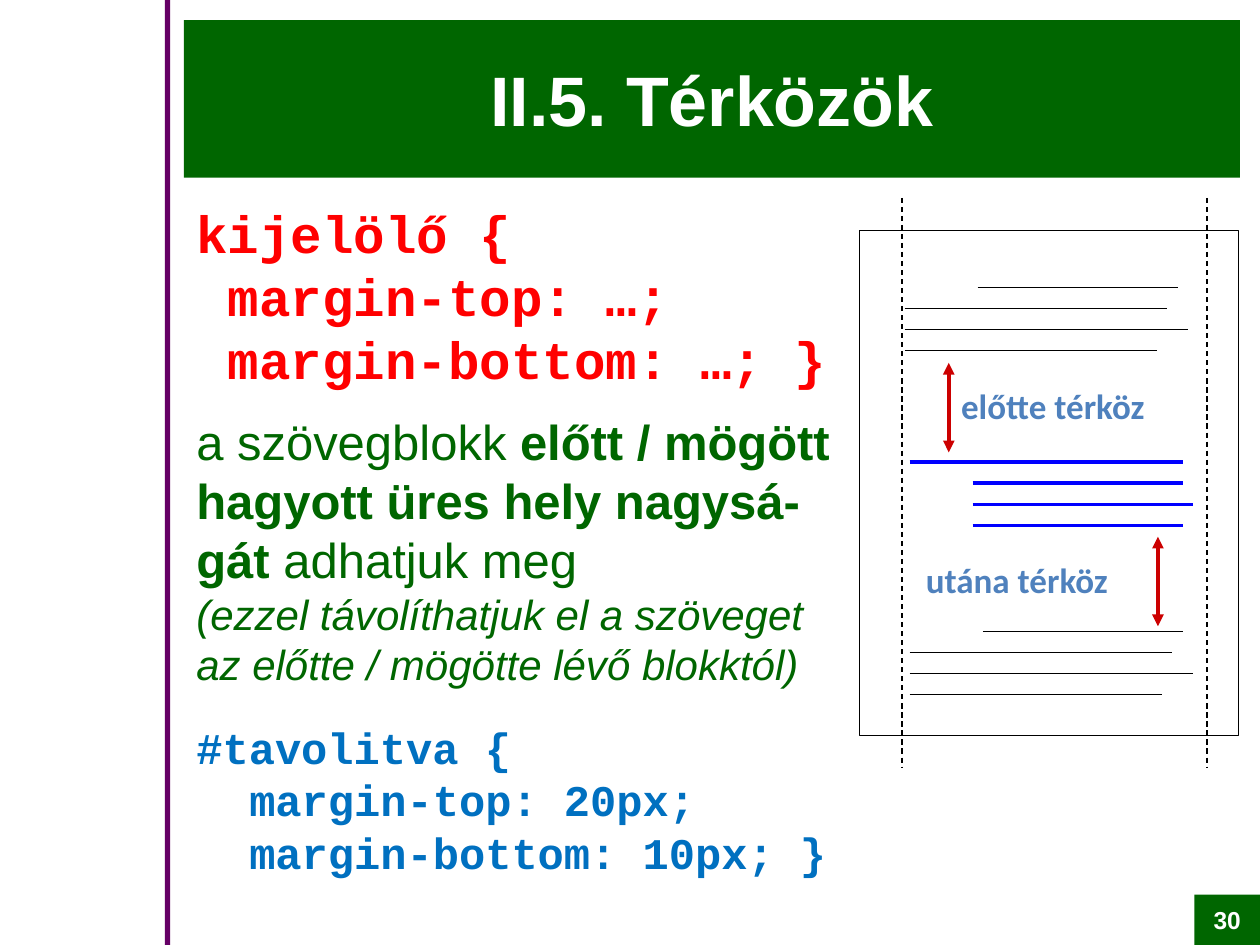
from pptx import Presentation
from pptx import util as u
from pptx.dml.color import RGBColor
from pptx.enum import dml, shapes, text
from pptx.oxml.ns import qn
from lxml import etree

GREEN = RGBColor(0x00, 0x66, 0x00)
PURPLE = RGBColor(0x66, 0x00, 0x66)
WHITE = RGBColor(0xFF, 0xFF, 0xFF)
BLACK = RGBColor(0x00, 0x00, 0x00)
RED = RGBColor(0xFF, 0x00, 0x00)
CRIMSON = RGBColor(0xCC, 0x00, 0x00)
BLUE = RGBColor(0x00, 0x00, 0xFF)
SKY = RGBColor(0x00, 0x70, 0xC0)
STEEL = RGBColor(0x4F, 0x81, 0xBD)


class Deck:
    """Holds the slide and its style, and draws each kind of element."""

    sans, mono, label = "Arial", "Courier New", "Calibri"

    def __init__(self, prs):
        self.s = prs.slides.add_slide(prs.slide_layouts[6])

    def rect(self, x, y, w, h, fill=None, line=None):
        sp = self.s.shapes.add_shape(
            shapes.MSO_SHAPE.RECTANGLE, *map(u.Inches, (x, y, w, h)))
        sp.shadow.inherit = False
        if fill is None:
            sp.fill.background()
        else:
            sp.fill.solid()
            sp.fill.fore_color.rgb = fill
        if line is None:
            sp.line.fill.background()
        else:
            sp.line.color.rgb = line
            sp.line.width = u.Pt(0.75)
        return sp

    def banner(self, x, y, w, h, words, size):
        tf = self.rect(x, y, w, h, GREEN).text_frame
        tf.word_wrap = True
        tf.vertical_anchor = text.MSO_ANCHOR.MIDDLE
        p = tf.paragraphs[0]
        p.alignment = text.PP_ALIGN.CENTER
        self.run(p, words, size, self.sans, WHITE, bold=True)

    def box(self, x, y, w, h):
        tf = self.s.shapes.add_textbox(*map(u.Inches, (x, y, w, h))).text_frame
        tf.word_wrap = True
        return tf

    def run(self, p, words, size, font, color, bold=False, italic=False):
        for i, part in enumerate(words.split("\n")):
            if i:
                p.add_line_break()
            if part:
                r = p.add_run()
                r.text = part
                r.font.size, r.font.name = u.Pt(size), font
                r.font.bold, r.font.italic = bold, italic
                r.font.color.rgb = color

    def code(self, p, words, size, color, indent):
        pPr = p._p.get_or_add_pPr()
        pPr.set("marL", str(u.Inches(indent)))
        pPr.set("indent", str(-u.Inches(indent)))
        self.run(p, words, size, self.mono, color, bold=True)

    def caption(self, x, y, words):
        p = self.box(x, y, 1.86, 0.44).paragraphs[0]
        self.run(p, words, 20, self.label, STEEL, bold=True)

    def line(self, x1, y1, x2, y2, color=BLACK, width=0.75, dash=False, arrows=False):
        c = self.s.shapes.add_connector(
            shapes.MSO_CONNECTOR.STRAIGHT, *map(u.Inches, (x1, y1, x2, y2)))
        c.line.color.rgb = color
        c.line.width = u.Pt(width)
        if dash:
            c.line.dash_style = dml.MSO_LINE.DASH
        if arrows:
            for end in ("a:headEnd", "a:tailEnd"):
                etree.SubElement(c.line._get_or_add_ln(), qn(end), type="triangle")
        etree.SubElement(c._element.spPr, qn("a:effectLst"))

    def text_lines(self, top, spans, color=BLACK, width=0.75):
        for i, (x1, x2) in enumerate(spans):
            y = top + i * 0.167
            self.line(x1, y, x2, y, color, width)


def main():
    prs = Presentation()
    prs.slide_width, prs.slide_height = u.Inches(10), u.Inches(7.5)
    d = Deck(prs)

    d.rect(1.31, 0, 0.04, 7.5, PURPLE)
    d.banner(1.46, 0.16, 8.38, 1.25, "II.5. Térközök", 40)

    tf = d.box(1.46, 1.55, 5.38, 5.79)
    syntax, meaning, example = tf.paragraphs[0], tf.add_paragraph(), tf.add_paragraph()
    syntax.space_after, meaning.space_after = u.Pt(12), u.Pt(18)
    d.code(syntax, "kijelölő {\nmargin-top: …;\nmargin-bottom: …; }", 30, RED, 0.25)
    d.run(meaning, "a szövegblokk ", 28, d.sans, GREEN)
    d.run(meaning, "előtt / mögött hagyott üres hely nagysá-gát ", 28, d.sans, GREEN, bold=True)
    d.run(meaning, "adhatjuk meg\n", 28, d.sans, GREEN)
    d.run(meaning, "(ezzel távolíthatjuk el a szöveget az előtte / mögötte lévő blokktól)",
          24, d.sans, GREEN, italic=True)
    d.code(example, "#tavolitva {\nmargin-top: 20px;\nmargin-bottom: 10px; }", 25, SKY, 0.42)

    d.banner(9.48, 7.1, 0.52, 0.4, "30", 14)

    d.rect(6.82, 1.83, 3.01, 4.01, line=BLACK)
    for x in (7.16, 9.58):
        d.line(x, 1.57, x, 6.09, dash=True)
    d.text_lines(2.28, [(7.76, 9.35), (7.18, 9.26), (7.18, 9.43), (7.18, 9.18)])
    d.text_lines(3.67, [(7.22, 9.39), (7.72, 9.39), (7.72, 9.47), (7.72, 9.39)], BLUE, 2.25)
    d.text_lines(5.01, [(7.8, 9.39), (7.22, 9.3), (7.22, 9.47), (7.22, 9.22)])
    for x, y in ((7.53, 2.88), (9.19, 4.26)):
        d.line(x, y, x, y + 0.71, CRIMSON, 2.25, arrows=True)
    d.caption(7.53, 3, "előtte térköz")
    d.caption(7.25, 4.38, "utána térköz")

    prs.save("out.pptx")


if __name__ == "__main__":
    main()
